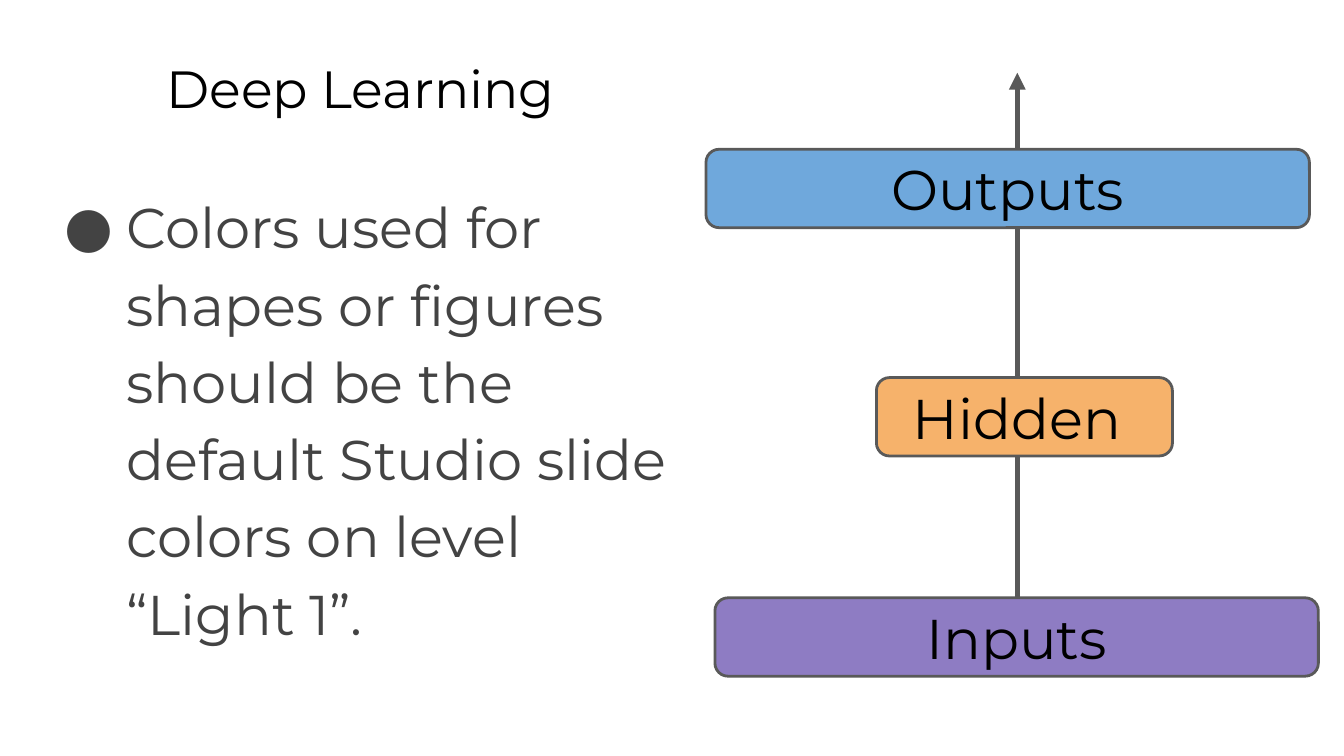
from dataclasses import dataclass

import lxml.etree
import pptx
import pptx.dml.color
import pptx.enum.shapes
import pptx.enum.text
import pptx.oxml
import pptx.oxml.ns
import pptx.util

Pt = pptx.util.Pt
RGB = pptx.dml.color.RGBColor
qn = pptx.oxml.ns.qn
ALIGN = pptx.enum.text.PP_ALIGN
ANCHOR = pptx.enum.text.MSO_ANCHOR

FONT = "Montserrat"
BLACK = RGB(0x00, 0x00, 0x00)
DARK = RGB(0x43, 0x43, 0x43)
GREY = RGB(0x59, 0x59, 0x59)
PURPLE = RGB(0x8E, 0x7C, 0xC3)
ORANGE = RGB(0xF6, 0xB2, 0x6B)
BLUE = RGB(0x6F, 0xA8, 0xDC)

AXIS = 545
HEIGHT = 42
WIDE = 323.3


@dataclass
class Layer:
    """One box of the network."""
    text: str
    left: float
    top: float
    width: float
    fill: RGB


LAYERS = [
    Layer("Inputs", 383, 320.3, WIDE, PURPLE),
    Layer("Hidden ", 469.5, 202.3, 158.6, ORANGE),
    Layer("Outputs", 378.2, 80, WIDE, BLUE),
]


def apply(item, values: dict) -> None:
    """Set each named value on the item."""
    for name, value in values.items():
        setattr(item, name, value)


def place(shape, left: float, top: float, width: float, height: float) -> None:
    """Move and size a shape, in points."""
    apply(shape, {"left": Pt(left), "top": Pt(top),
                  "width": Pt(width), "height": Pt(height)})


def write(shape, text: str, size: float, color: RGB, align, anchor, gap: float):
    """Fill a shape with one styled paragraph and return it."""
    frame = shape.text_frame
    sides = ("left", "top", "right", "bottom")
    apply(frame, {f"margin_{side}": Pt(7.2) for side in sides})
    apply(frame, {"word_wrap": True, "vertical_anchor": anchor,
                  "auto_size": pptx.enum.text.MSO_AUTO_SIZE.NONE})
    para = frame.paragraphs[0]
    apply(para, {"alignment": align, "line_spacing": gap,
                 "space_before": Pt(0), "space_after": Pt(0)})
    run = para.add_run()
    run.text = text
    apply(run.font, {"name": FONT, "size": Pt(size)})
    run.font.color.rgb = color
    return para


def add_dot(para, color: RGB) -> None:
    """Give a paragraph a round bullet with a hanging indent."""
    props = para._p.get_or_add_pPr()
    props.set("marL", str(Pt(36)))
    props.set("indent", str(-Pt(33)))
    tint = lxml.etree.SubElement(props, qn("a:buClr"))
    lxml.etree.SubElement(tint, qn("a:srgbClr"), val=str(color))
    lxml.etree.SubElement(props, qn("a:buFont"), typeface=FONT)
    lxml.etree.SubElement(props, qn("a:buChar"), char="●")


def add_flow(slide) -> None:
    """Draw the upward arrow behind the layers."""
    flow = slide.shapes.add_connector(
        pptx.enum.shapes.MSO_CONNECTOR.STRAIGHT,
        Pt(AXIS), Pt(362), Pt(AXIS), Pt(39))
    flow.line.color.rgb = GREY
    flow.line.width = Pt(3)
    lxml.etree.SubElement(flow.line._get_or_add_ln(), qn("a:tailEnd"),
                          type="triangle")
    lxml.etree.SubElement(flow._element.spPr, qn("a:effectLst"))


def add_layer(slide, layer: Layer) -> None:
    """Draw one rounded box with its label."""
    box = slide.shapes.add_shape(
        pptx.enum.shapes.MSO_SHAPE.ROUNDED_RECTANGLE,
        Pt(layer.left), Pt(layer.top), Pt(layer.width), Pt(HEIGHT))
    box.shadow.inherit = False
    box.fill.solid()
    box.fill.fore_color.rgb = layer.fill
    box.line.color.rgb = GREY
    box.line.width = Pt(1.5)
    write(box, layer.text, 30, BLACK, ALIGN.CENTER, ANCHOR.MIDDLE, 1.0)


def main() -> None:
    """Build and save the slide."""
    deck = pptx.Presentation()
    apply(deck, {"slide_width": Pt(720), "slide_height": Pt(405)})
    slide = deck.slides.add_slide(deck.slide_layouts[1])
    title, body = slide.placeholders
    place(title, 82, 23, 613.4, 45.4)
    write(title, "Deep Learning", 28, BLACK, ALIGN.LEFT, ANCHOR.TOP, 1.0)
    place(body, 24.5, 90.7, 347, 269.3)
    note = ("Colors used for shapes or figures should be the default "
            "Studio slide colors on level “Light 1”.")
    add_dot(write(body, note, 30, DARK, ALIGN.LEFT, ANCHOR.TOP, 1.15), DARK)
    add_flow(slide)
    for layer in LAYERS:
        add_layer(slide, layer)
    deck.save("out.pptx")


main()
